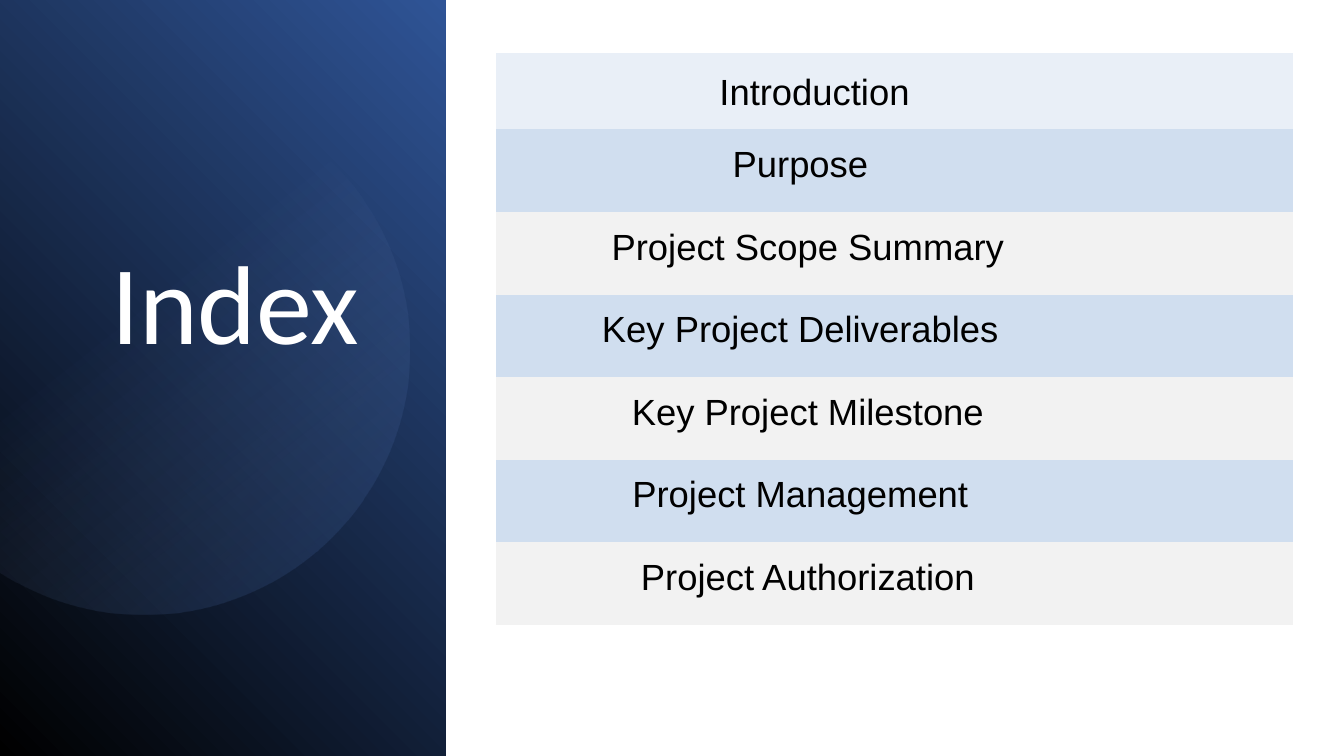
import math

from lxml import etree
from pptx import Presentation
from pptx.dml.color import RGBColor
from pptx.enum.shapes import MSO_SHAPE
from pptx.enum.text import MSO_ANCHOR, PP_ALIGN
from pptx.oxml.ns import qn
from pptx.util import Inches, Pt

RECT = MSO_SHAPE.RECTANGLE
CENTER = PP_ALIGN.CENTER
TOP, BOTTOM = MSO_ANCHOR.TOP, MSO_ANCHOR.BOTTOM

BLACK = RGBColor(0x00, 0x00, 0x00)
WHITE = RGBColor(0xFF, 0xFF, 0xFF)
NAVY = RGBColor(0x2F, 0x54, 0x96)
SOFT_BLUE = RGBColor(0x8D, 0xA9, 0xDB)
FIRST_ROW = RGBColor(0xE9, 0xEF, 0xF7)
BLUE_ROW = RGBColor(0xD0, 0xDE, 0xEF)
GREY_ROW = RGBColor(0xF2, 0xF2, 0xF2)

NO_GRID_STYLE = "{2D5ABB26-0587-4C30-8999-92F81FD0307C}"
SIDEBAR_WIDTH = 4.42
TOPICS = [
    "Introduction",
    "Purpose",
    "Project Scope Summary",
    "Key Project Deliverables",
    "Key Project Milestone",
    "Project Management",
    "Project Authorization",
]


def fill_gradient(shape, stops, angle):
    """Fill with (position %, colour, opacity %) stops; angle is counter-clockwise."""
    shape.shadow.inherit = False
    shape.line.fill.background()
    shape.fill.gradient()
    shape.fill.gradient_angle = angle
    stop_list = shape.element.spPr.find(qn("a:gradFill")).find(qn("a:gsLst"))
    for old in list(stop_list):
        stop_list.remove(old)
    for position, color, opacity in stops:
        stop = etree.SubElement(stop_list, qn("a:gs"), pos=str(position * 1000))
        clr = etree.SubElement(stop, qn("a:srgbClr"), val=str(color))
        etree.SubElement(clr, qn("a:alpha"), val=str(opacity * 1000))


def set_text(tf, text, size, font, color):
    p = tf.paragraphs[0]
    p.alignment = CENTER
    r = p.add_run()
    r.text = text
    for name, value in {"size": Pt(size), "name": font}.items():
        setattr(r.font, name, value)
    r.font.color.rgb = color
    return p


def add_sidebar(s, height):
    sp = s.shapes.add_shape(RECT, 0, 0, Inches(SIDEBAR_WIDTH), height)
    fill_gradient(sp, [(0, BLACK, 100), (100, NAVY, 100)], 45)


def add_cut_circle(s, cx, cy, radius):
    """Add a circle cut off by the left slide edge."""
    limit = math.acos(-cx / radius)
    steps = 120
    angles = [limit * (2 * i / steps - 1) for i in range(steps + 1)]
    points = [
        (Inches(cx + radius * math.cos(a)), Inches(cy + radius * math.sin(a)))
        for a in angles
    ]
    builder = s.shapes.build_freeform(*points[0])
    builder.add_line_segments(points[1:], close=True)
    stops = [(0, SOFT_BLUE, 0), (39, SOFT_BLUE, 0), (100, NAVY, 26)]
    fill_gradient(builder.convert_to_shape(), stops, 308.4)


def add_title(s, text):
    box = s.shapes.add_textbox(Inches(0.82), Inches(2.41), Inches(3.03), Inches(1.65))
    tf = box.text_frame
    tf.word_wrap = True
    tf.vertical_anchor = TOP
    set_text(tf, text, 80, "Calibri", WHITE).line_spacing = 0.9


def format_topic_cell(cell, row, topic):
    first = row == 0
    margins = {
        "margin_left": 0.15 if row and row % 2 == 0 else 0,
        "margin_top": 0.16 if first else 0.15,
        "margin_right": 0.03 if first else 0.31,
        "margin_bottom": 0.16,
    }
    for name, value in margins.items():
        setattr(cell, name, Inches(value))
    cell.vertical_anchor = BOTTOM if first else TOP
    set_text(cell.text_frame, topic, 26, "Arial", BLACK)


def add_topic_table(s):
    heights = [0.72] + [0.82] * (len(TOPICS) - 1)
    widths = [6.35, 1.55]
    frame = s.shapes.add_table(
        len(heights), len(widths), Inches(4.92), Inches(0.53),
        Inches(sum(widths)), Inches(sum(heights)),
    )
    table = frame.table
    table.first_row = table.horz_banding = False
    table._tbl.tblPr.find(qn("a:tableStyleId")).text = NO_GRID_STYLE
    for column, width in zip(table.columns, widths):
        column.width = Inches(width)
    for i, (topic, height) in enumerate(zip(TOPICS, heights)):
        row = table.rows[i]
        row.height = Inches(height)
        color = FIRST_ROW if i == 0 else BLUE_ROW if i % 2 else GREY_ROW
        for cell in row.cells:
            cell.fill.solid()
            cell.fill.fore_color.rgb = color
        format_topic_cell(row.cells[0], i, topic)


def main():
    prs = Presentation()
    prs.slide_width, prs.slide_height = Inches(13.33), Inches(7.5)
    s = prs.slides.add_slide(prs.slide_layouts[6])
    add_sidebar(s, prs.slide_height)
    add_cut_circle(s, 1.43, 3.47, 2.63)
    add_title(s, "Index")
    add_topic_table(s)
    prs.save("out.pptx")


if __name__ == "__main__":
    main()
